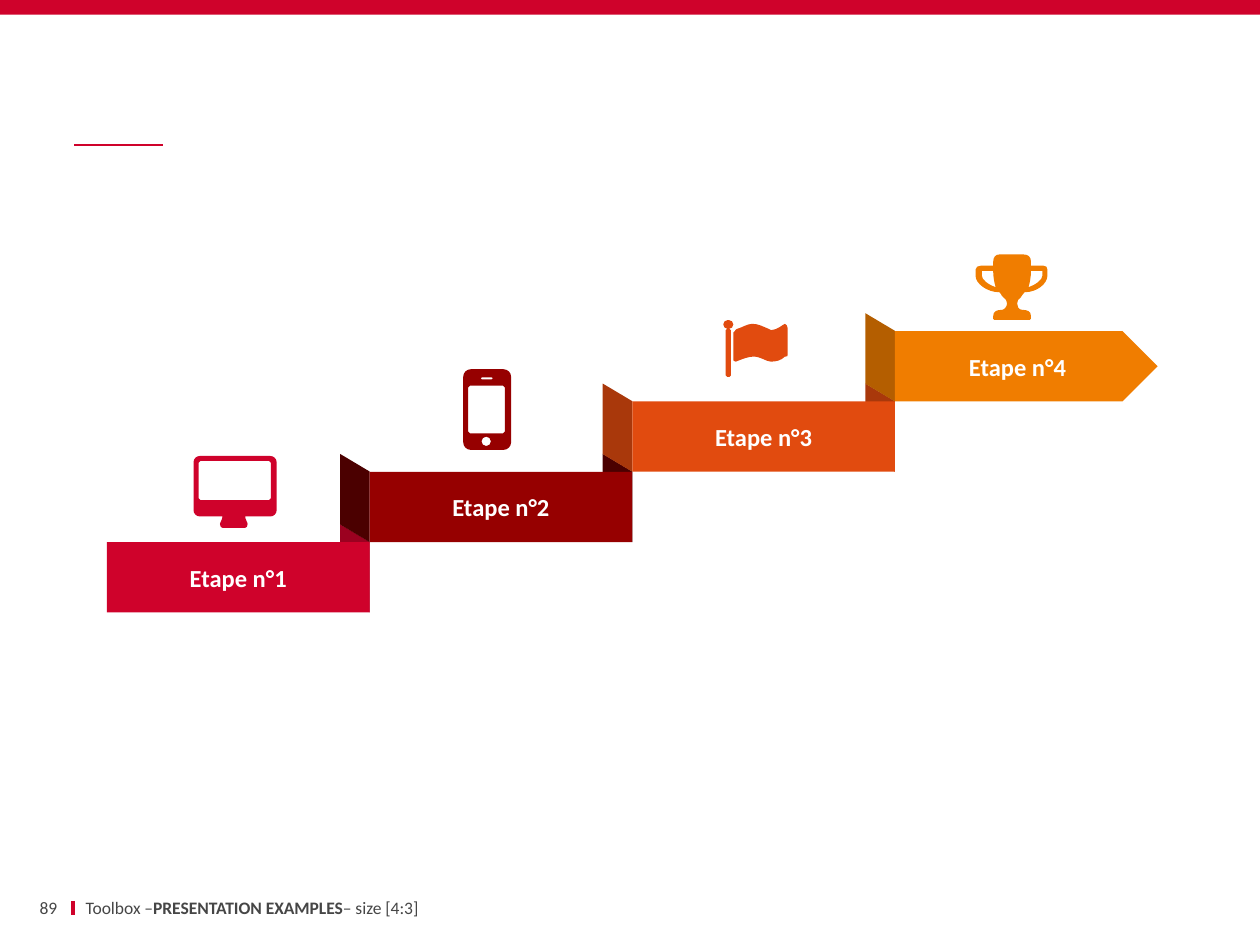
from lxml import etree
from pptx import Presentation
from pptx.dml.color import RGBColor
from pptx.enum.shapes import MSO_CONNECTOR, MSO_SHAPE
from pptx.enum.text import MSO_ANCHOR, PP_ALIGN
from pptx.oxml.ns import qn
from pptx.util import Pt

RECTANGLE, ARROW = MSO_SHAPE.RECTANGLE, MSO_SHAPE.PENTAGON
FOLD = MSO_SHAPE.FLOWCHART_DATA
STRAIGHT, MIDDLE = MSO_CONNECTOR.STRAIGHT, MSO_ANCHOR.MIDDLE
LEFT, CENTER, RIGHT = PP_ALIGN.LEFT, PP_ALIGN.CENTER, PP_ALIGN.RIGHT

RED, GREY = "CF022B", "464646"
SLIDE_WIDTH, SLIDE_HEIGHT = 720, 540
FIRST_LEFT, FIRST_TOP = 61.1, 309.8
STEP_WIDTH, STEP_HEIGHT = 150.1, 40.2
FOLD_LENGTH, FOLD_DEPTH = 50.4, 16.9
ICON_UNIT = 0.72
ARC = 0.45  # distance of a control point from the corner, in radii

STEP_FONT = {"name": "Calibri", "size": Pt(14)}
FOOTER_FONT = {"name": "Calibri", "size": Pt(10)}

# label, face colour, fold colour, shape
STEPS = [
    ("Etape n°1", RED, "9B0120", RECTANGLE),
    ("Etape n°2", "960000", "4B0000", RECTANGLE),
    ("Etape n°3", "E14B0F", "A9380B", RECTANGLE),
    ("Etape n°4", "F07D00", "B45E00", ARROW),
]

# left, top, width, height, alignment, side inset, (text, bold) pieces
FOOTERS = [
    (9.7, 511.9, 23, 13, RIGHT, 0, [("89", False)]),
    (41.9, 511.9, 357.8, 13, LEFT, 7.2,
     [("Toolbox –", False), ("PRESENTATION EXAMPLES", True), ("– size [4:3]", False)]),
]

# x1, y1, x2, y2, weight
RULES = [(41.8, 514.8, 41.8, 522.7, 2.25), (42.3, 82.8, 92.9, 82.8, 1)]


def rounded(left, top, right, bottom, radius):
    """Outline of a rounded rectangle, as points and curves."""
    r, c = radius, radius * ARC
    return [
        (left + r, top), (right - r, top),
        (right - c, top, right, top + c, right, top + r), (right, bottom - r),
        (right, bottom - c, right - c, bottom, right - r, bottom), (left + r, bottom),
        (left + c, bottom, left, bottom - c, left, bottom - r), (left, top + r),
        (left, top + c, left + c, top, left + r, top),
    ]


# Outlines: a pair is a corner, six numbers are a cubic curve
MONITOR = [
    rounded(0, 0, 66, 48, 5),
    rounded(4, 4, 61.5, 35, 1.5),
    [(23, 48), (23, 50, 21, 53, 21, 54), (21, 56, 22, 57, 23, 57), (41, 57),
     (42, 57, 43, 56, 43, 54), (43, 53, 41, 50, 41, 48)],
]
PHONE = [
    rounded(0, 0, 38, 64, 6),
    rounded(4, 13, 33, 51, 1.5),
    rounded(14, 6.5, 23.5, 8, 0.7),
    rounded(14.5, 53.5, 22, 61, 3.75),
]
FLAG = [
    rounded(0, 0, 8, 7, 3.5),
    rounded(2, 7, 6, 45, 1),
    [(8, 10), (8, 9, 8, 9, 9, 9), (10, 8, 10, 7, 11, 7), (15, 6, 19, 3, 23, 3),
     (28, 3, 31, 5, 36, 7), (37, 7, 37, 8, 38, 8), (43, 8, 48, 3, 49, 3),
     (50, 3, 51, 5, 51, 6), (51, 28), (51, 29, 51, 29, 49, 29),
     (46, 32, 42, 33, 38, 33), (34, 33, 30, 29, 24, 29),
     (20, 29, 15, 31, 10, 33), (9, 33, 8, 32, 8, 32)],
]
TROPHY = [
    [(57, 17), (57, 23, 49, 30, 39, 30), (37, 32, 36, 34, 36, 34),
     (34, 35, 33, 37, 33, 39), (33, 41, 34, 44, 37, 44), (41, 44, 44, 45, 44, 49),
     (44, 51), (44, 52, 43, 52, 43, 52), (15, 52), (14, 52, 14, 52, 14, 51),
     (14, 49), (14, 45, 17, 44, 21, 44), (23, 44, 25, 41, 25, 39),
     (25, 37, 24, 35, 22, 34), (21, 34, 21, 32, 19, 30), (9, 30, 0, 23, 0, 17),
     (0, 12), (0, 10, 2, 9, 4, 9), (14, 9), (14, 6), (14, 2, 16, 0, 19, 0),
     (38, 0), (42, 0, 44, 2, 44, 6), (44, 9), (54, 9), (56, 9, 57, 10, 57, 12)],
    [(14, 13), (5, 13), (5, 17), (5, 20, 10, 24, 16, 26), (15, 23, 14, 18, 14, 13)],
    [(53, 13), (44, 13), (44, 18, 43, 23, 42, 26), (48, 24, 53, 20, 53, 17)],
]
# left, top, outlines, in the order of the steps
ICONS = [
    (110.6, 260.6, MONITOR), (264.7, 211, PHONE),
    (413.3, 182.9, FLAG), (557.5, 145.4, TROPHY),
]


def color(value):
    return RGBColor.from_string(value)


def paint(shape, fill):
    shape.shadow.inherit = False
    shape.fill.solid()
    shape.fill.fore_color.rgb = color(fill)
    shape.line.fill.background()


def add_block(page, kind, left, top, width, height, fill):
    shape = page.shapes.add_shape(kind, Pt(left), Pt(top), Pt(width), Pt(height))
    paint(shape, fill)
    return shape


def add_rule(page, x1, y1, x2, y2, weight):
    rule = page.shapes.add_connector(STRAIGHT, Pt(x1), Pt(y1), Pt(x2), Pt(y2))
    rule.line.color.rgb = color(RED)
    rule.line.width = Pt(weight)
    etree.SubElement(rule._element.spPr, qn("a:effectLst"))


def write(shape, pieces, align, style, text_color):
    shape.text_frame.vertical_anchor = MIDDLE
    shape.text_frame.word_wrap = True
    para = shape.text_frame.paragraphs[0]
    para.alignment = align
    for text, bold in pieces:
        span = para.add_run()
        span.text = text
        for name, value in {**style, "bold": bold}.items():
            setattr(span.font, name, value)
        span.font.color.rgb = color(text_color)


def icon_point(x, y):
    return Pt(x * ICON_UNIT), Pt(y * ICON_UNIT)


def bend(shape, outlines):
    """Turn the straight segments into curves where the outline has one."""
    segments = list(shape._element.iter(qn("a:lnTo")))
    parts = [part for outline in outlines for part in outline[1:]]
    for segment, part in zip(segments, parts):
        if len(part) == 2:
            continue
        segment_curve = etree.Element(qn("a:cubicBezTo"))
        for x, y in (part[:2], part[2:4], part[4:]):
            px, py = icon_point(x, y)
            etree.SubElement(segment_curve, qn("a:pt"), x=str(int(px)), y=str(int(py)))
        segment.getparent().replace(segment, segment_curve)


def add_icon(page, left, top, outlines, fill):
    corners = [[icon_point(*part[-2:]) for part in outline] for outline in outlines]
    builder = page.shapes.build_freeform(*corners[0][0])
    for number, points in enumerate(corners):
        if number:
            builder.move_to(*points[0])
        builder.add_line_segments(points[1:], close=True)
    icon = builder.convert_to_shape(Pt(left), Pt(top))
    bend(icon, outlines)
    paint(icon, fill)


def add_step(page, index, label, face, fold_color, kind):
    left = FIRST_LEFT + index * STEP_WIDTH
    top = FIRST_TOP - index * STEP_HEIGHT
    edges = []
    if index > 0:
        edges.append(left)
    if index < len(STEPS) - 1:
        edges.append(left + STEP_WIDTH)
    for edge in edges:
        fold = add_block(page, FOLD, edge - (FOLD_DEPTH + FOLD_LENGTH) / 2,
                         top + STEP_HEIGHT - (FOLD_LENGTH + FOLD_DEPTH) / 2,
                         FOLD_LENGTH, FOLD_DEPTH, fold_color)
        fold.rotation = 90
    step = add_block(page, kind, left, top, STEP_WIDTH, STEP_HEIGHT, face)
    write(step, [(label, True)], CENTER, STEP_FONT, "FFFFFF")


def main():
    deck = Presentation()
    deck.slide_width, deck.slide_height = Pt(SLIDE_WIDTH), Pt(SLIDE_HEIGHT)
    page = deck.slides.add_slide(deck.slide_layouts[6])
    for rule in RULES:
        add_rule(page, *rule)
    add_block(page, RECTANGLE, 0, 0, SLIDE_WIDTH, 8.4, RED)
    for index, step in enumerate(STEPS):
        add_step(page, index, *step)
    for icon, step in zip(ICONS, STEPS):
        add_icon(page, *icon, step[1])
    for left, top, width, height, align, inset, pieces in FOOTERS:
        box = page.shapes.add_textbox(Pt(left), Pt(top), Pt(width), Pt(height))
        box.text_frame.margin_left = box.text_frame.margin_right = Pt(inset)
        write(box, pieces, align, FOOTER_FONT, GREY)
    deck.save("out.pptx")


if __name__ == "__main__":
    main()
